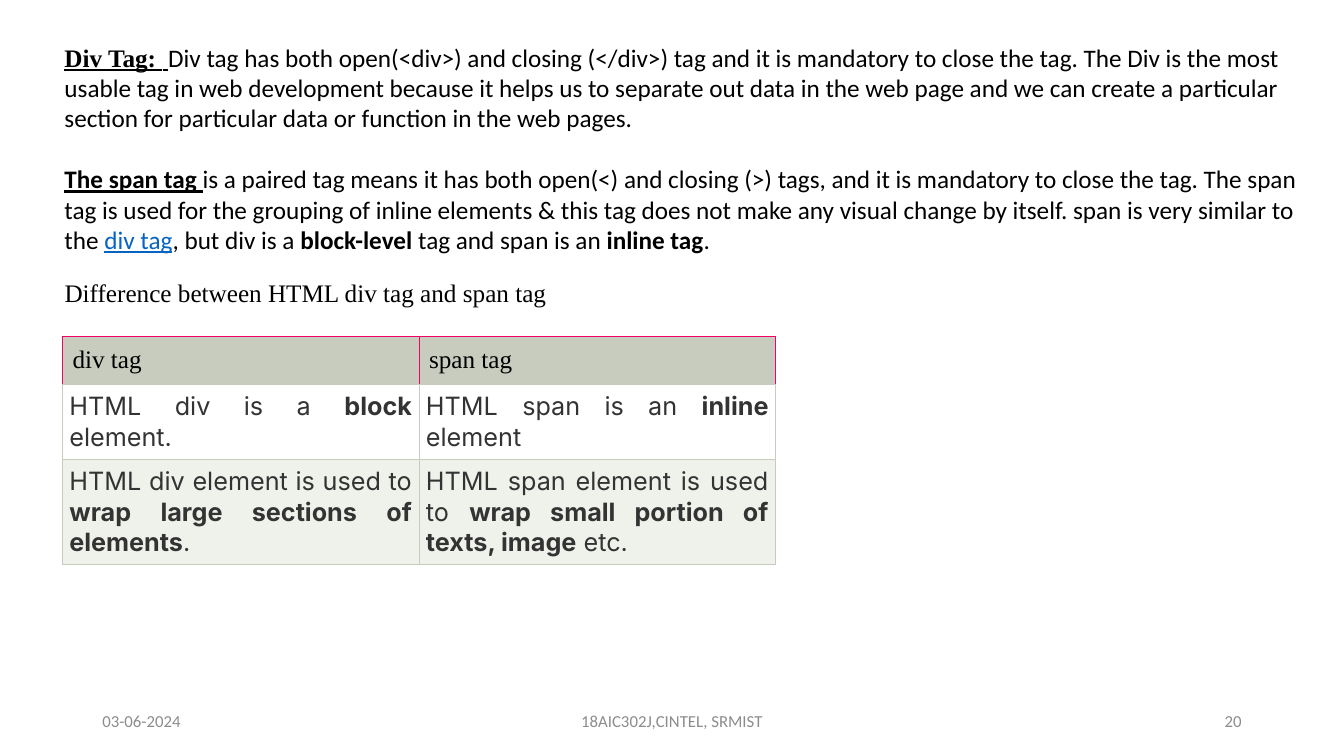
"""Build a slide that compares the HTML div and span tags."""
import pptx
import pptx.dml.color
import pptx.enum.text
import pptx.oxml
import pptx.oxml.ns
import pptx.util

Pt = pptx.util.Pt
RGBColor = pptx.dml.color.RGBColor
Align = pptx.enum.text.PP_ALIGN
Anchor = pptx.enum.text.MSO_ANCHOR

BLACK = RGBColor(0x00, 0x00, 0x00)
WHITE = RGBColor(0xFF, 0xFF, 0xFF)
CHARCOAL = RGBColor(0x33, 0x33, 0x33)
GRAY = RGBColor(0x8C, 0x8C, 0x8C)
LINK_BLUE = RGBColor(0x05, 0x63, 0xC1)
SAGE = RGBColor(0xC7, 0xCC, 0xBE)
PALE_SAGE = RGBColor(0xEF, 0xF1, 0xEB)
PINK = RGBColor(0xF0, 0x01, 0x64)

SERIF, SANS, TABLE_SANS = "Times New Roman", "Calibri", "Inter"
BOLD = {"bold": True}
HEADING = {"bold": True, "underline": True}
LINK = {"underline": True, "color": LINK_BLUE}

DEFINITIONS = [
    [
        ("Div Tag: ", {"font": SERIF, **HEADING}),
        (" ", HEADING),
        ("Div tag has both open(<div>) and closing (</div>) tag and it is mandatory "
         "to close the tag. The Div is the most usable tag in web development because "
         "it helps us to separate out data in the web page and we can create a "
         "particular section for particular data or function in the web pages.", {}),
    ],
    [
        ("The span tag ", HEADING),
        ("is a paired tag means it has both open(<) and closing (>) tags, and it is "
         "mandatory to close the tag. The span tag is used for the grouping of inline "
         "elements & this tag does not make any visual change by itself. span is very "
         "similar to the ", {}),
        ("div tag", LINK),
        (", but div is a", {}),
        (" block-level", BOLD),
        (" tag and span is an", {}),
        (" inline tag", BOLD),
        (".", {}),
    ],
]

HEADER = ["div tag", "span tag"]
COMPARISON = [
    [
        [("HTML div is a ", {}), ("block", BOLD), (" element.", {})],
        [("HTML span is an ", {}), ("inline", BOLD), (" element", {})],
    ],
    [
        [("HTML div element is used to ", {}),
         ("wrap large sections of elements", BOLD), (".", {})],
        [("HTML span element is used to ", {}),
         ("wrap small portion of texts, image", BOLD), (" etc.", {})],
    ],
]


class SlideBuilder:
    """Hold the text style and the current page, and add elements to it."""

    def __init__(self, page, size=18, gap=22):
        self.page = page
        self.size = size
        self.gap = gap

    def fill_text(self, frame, paragraphs, font, color, size=None, align=Align.LEFT):
        """Fill a text frame with paragraphs of styled spans."""
        for index, spans in enumerate(paragraphs):
            para = frame.add_paragraph() if index else frame.paragraphs[0]
            para.alignment = align
            para.space_before = Pt(self.gap if index else 0)
            for text, style in spans:
                span = para.add_run()
                span.text = text
                span.font.name = style.get("font", font)
                span.font.size = Pt(size or self.size)
                span.font.bold = style.get("bold", False)
                span.font.underline = style.get("underline", False)
                span.font.color.rgb = style.get("color", color)

    def text(self, place, paragraphs, font=SANS, color=BLACK, size=None,
             align=Align.LEFT, anchor=Anchor.TOP, fill=None):
        """Add a wrapped text box."""
        box = self.page.shapes.add_textbox(*map(Pt, place))
        box.text_frame.word_wrap = True
        box.text_frame.vertical_anchor = anchor
        if fill is not None:
            box.fill.solid()
            box.fill.fore_color.rgb = fill
        self.fill_text(box.text_frame, paragraphs, font, color, size, align)

    def cell(self, cell, spans, fill, font, color, align, margin, edge):
        """Style one table cell, with the given colour on all but its lower edge."""
        cell.margin_left = cell.margin_right = Pt(margin)
        cell.margin_top = cell.margin_bottom = Pt(margin)
        properties = cell._tc.get_or_add_tcPr()
        for side in "LRTB":
            edge_color = SAGE if side == "B" else edge
            properties.append(pptx.oxml.parse_xml(
                f'<a:ln{side} {pptx.oxml.ns.nsdecls("a")} w="{Pt(0.6)}"><a:solidFill>'
                f'<a:srgbClr val="{edge_color}"/></a:solidFill></a:ln{side}>'))
        cell.fill.solid()
        cell.fill.fore_color.rgb = fill
        self.fill_text(cell.text_frame, [spans], font, color, align=align)

    def table(self, place, heights, header, body):
        """Add a table with a header row and banded body rows."""
        table = self.page.shapes.add_table(
            len(heights), len(header), *map(Pt, place)).table
        table.first_row = table.horz_banding = False
        for row, height in zip(table.rows, heights):
            row.height = Pt(height)
        for column, title in enumerate(header):
            self.cell(table.cell(0, column), [(title, {})], SAGE, SERIF, BLACK,
                      Align.LEFT, 7.2, PINK)
        for row, (entries, fill) in enumerate(zip(body, [WHITE, PALE_SAGE]), 1):
            for column, spans in enumerate(entries):
                self.cell(table.cell(row, column), spans, fill, TABLE_SANS, CHARCOAL,
                          Align.JUSTIFY, 5, SAGE)


def main():
    """Build and save the deck."""
    deck = pptx.Presentation()
    deck.slide_width, deck.slide_height = Pt(960), Pt(540)
    builder = SlideBuilder(deck.slides.add_slide(deck.slide_layouts[6]))

    builder.table((44.6, 240.3, 509.4, 162), (34.4, 52.8, 74.8), HEADER, COMPARISON)
    builder.text((39, 194.5, 466, 29), [[("Difference between HTML div tag and span tag", {})]],
                 font=SERIF, anchor=Anchor.MIDDLE, fill=WHITE)
    builder.text((39, 26.6, 905, 160), DEFINITIONS)

    for left, width, text, align in [
        (66, 216, "03-06-2024", Align.LEFT),
        (678, 216, "20", Align.RIGHT),
        (318, 324, "18AIC302J,CINTEL, SRMIST", Align.CENTER),
    ]:
        builder.text((left, 500.5, width, 28.8), [[(text, {})]], color=GRAY, size=12,
                     align=align, anchor=Anchor.MIDDLE)

    deck.save("out.pptx")


if __name__ == "__main__":
    main()
